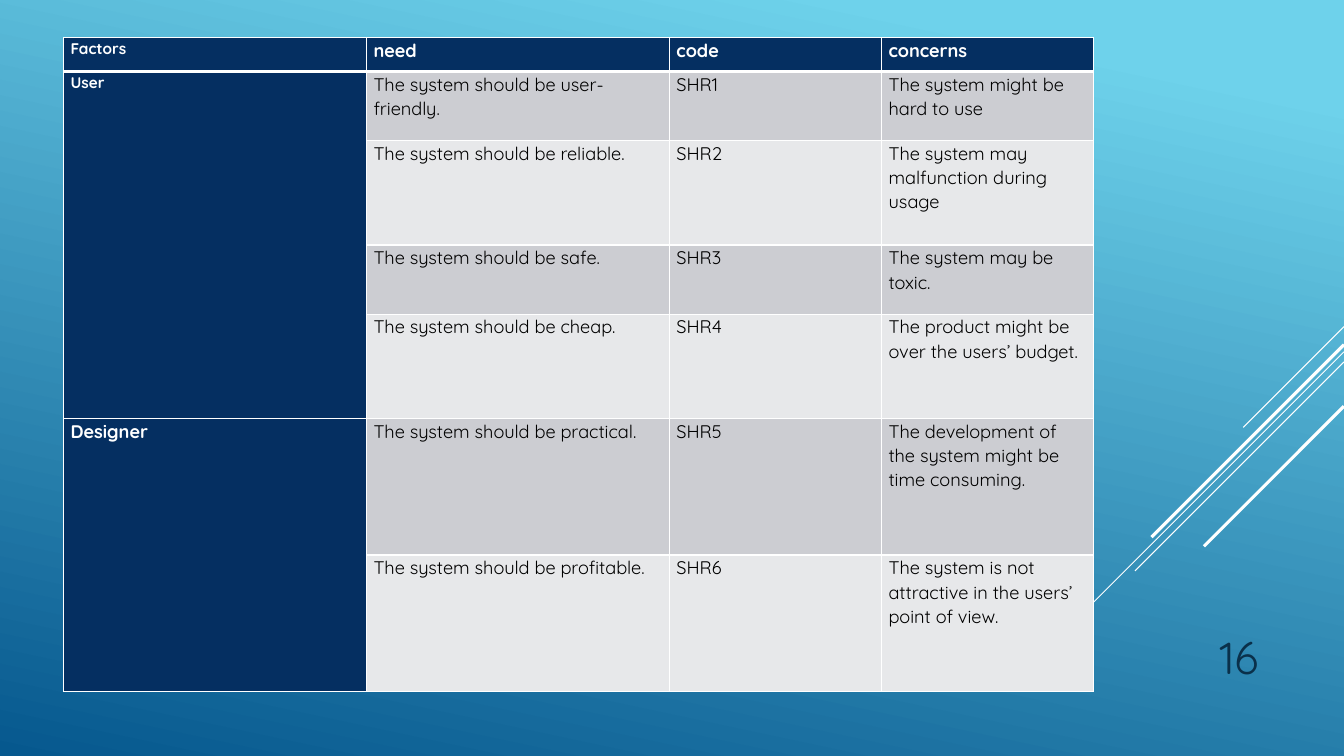
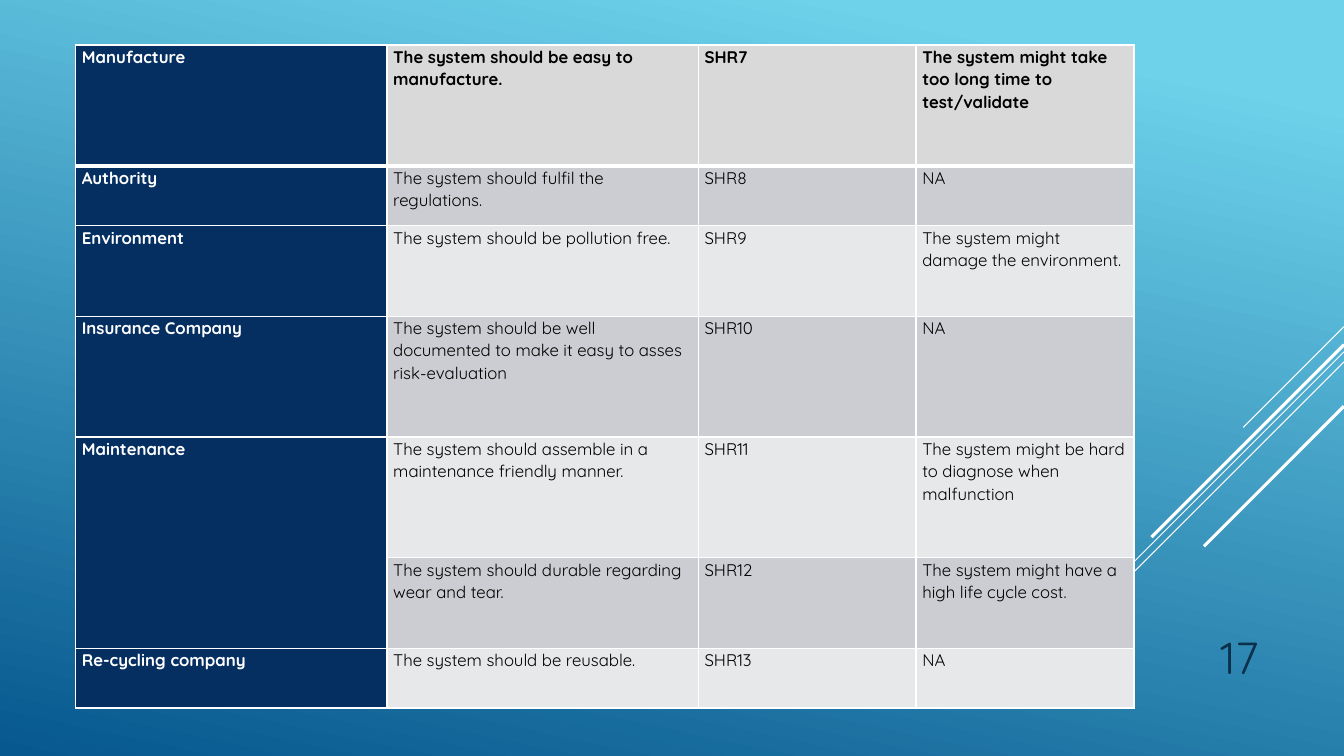
from dataclasses import dataclass
from itertools import product

from lxml.etree import SubElement
from pptx import Presentation
from pptx.dml.color import RGBColor
from pptx.enum.shapes import MSO_CONNECTOR
from pptx.enum.text import MSO_ANCHOR, PP_ALIGN
from pptx.oxml.ns import qn
from pptx.presentation import Presentation as Deck
from pptx.slide import Slide
from pptx.table import _Cell
from pptx.util import Pt

# Shared look
WIDTH, HEIGHT = 960, 540
FONT = "Quicksand"
WHITE, BLACK, NAVY = "FFFFFF", "000000", "052F61"
SKY, OCEAN, NUMBER_INK = "6ED2EB", "06588E", "0A304A"
BANDS = ("E7E8EA", "CCCDD2")
SMALL_SIZE = 11


@dataclass(frozen=True)
class Ray:
    """A 45-degree line that runs down and left from the right edge."""
    top: float
    reach: float
    weight: float


@dataclass(frozen=True)
class Matrix:
    """A needs table; an empty label extends the label above it."""
    number: int
    left: float
    top: float
    cols: tuple[float, ...]
    heights: tuple[float, ...]
    inset: float
    size: float
    head_fill: str
    head_ink: str
    rows: tuple[tuple[str, str, str, str], ...]
    small_labels: tuple[str, ...] = ()


RAYS = (
    Ray(233.3, 72, 0.75),
    Ray(251.3, 234.7, 0.75),
    Ray(258.5, 149.3, 0.75),
    Ray(246.2, 137.5, 2.25),
    Ray(290.2, 100, 2.25),
)

MATRICES = (
    Matrix(
        16, 45.4, 26.8, (216.4, 216.4, 151.5, 151.5),
        (24.3, 49.4, 74.6, 49.4, 74.6, 97.5, 97.5), 5, 13, NAVY, WHITE,
        (
            ("Factors", "need", "code", "concerns"),
            ("User", "The system should be user-friendly.", "SHR1",
             "The system might be hard to use"),
            ("", "The system should be reliable.", "SHR2",
             "The system may malfunction during usage"),
            ("", "The system should be safe.", "SHR3", "The system may be toxic."),
            ("", "The system should be cheap.", "SHR4",
             "The product might be over the users’ budget."),
            ("Designer", "The system should be practical.", "SHR5",
             "The development of the system might be time consuming."),
            ("", "The system should be profitable.", "SHR6",
             "The system is not attractive in the users’ point of view."),
        ),
        ("Factors", "User"),
    ),
    Matrix(
        17, 54, 32.2, (222.4, 222.4, 155.6, 155.6),
        (86.3, 42.8, 64.6, 86.3, 86.3, 64.6, 42.8), 4.5, 12, "D9D9D9", BLACK,
        (
            ("Manufacture", "The system should be easy to manufacture.", "SHR7",
             "The system might take too long time to test/validate"),
            ("Authority", "The system should fulfil the regulations.", "SHR8", "NA"),
            ("Environment", "The system should be pollution free.", "SHR9",
             "The system might damage the environment."),
            ("Insurance Company",
             "The system should be well documented to make it easy to asses risk-evaluation",
             "SHR10", "NA"),
            ("Maintenance", "The system should assemble in a maintenance friendly manner.",
             "SHR11", "The system might be hard to diagnose when malfunction"),
            ("", "The system should durable regarding wear and tear.", "SHR12",
             "The system might have a high life cycle cost."),
            ("Re-cycling company", "The system should be reusable.", "SHR13", "NA"),
        ),
    ),
)


def rgb(color: str) -> RGBColor:
    return RGBColor.from_string(color)


def style_run(r, size: float, color: str, bold: bool = False) -> None:
    r.font.name = FONT
    r.font.size = Pt(size)
    r.font.bold = bold
    r.font.color.rgb = rgb(color)


def set_background(prs: Deck) -> None:
    fill = prs.slide_master.background.fill
    fill.gradient()
    fill.gradient_angle = 258
    for stop, position, color in zip(fill.gradient_stops, (0.1, 1), (SKY, OCEAN)):
        stop.position = position
        stop.color.rgb = rgb(color)


def draw_ray(s: Slide, ray: Ray) -> None:
    line = s.shapes.add_connector(
        MSO_CONNECTOR.STRAIGHT, Pt(WIDTH), Pt(ray.top),
        Pt(WIDTH - ray.reach), Pt(ray.top + ray.reach))
    line.line.color.rgb = rgb(WHITE)
    line.line.width = Pt(ray.weight)
    SubElement(line._element.spPr, qn("a:effectLst"))


def set_borders(cell: _Cell, row: int) -> None:
    """White rules, with a heavy one below the first row."""
    widths = {"L": 1, "R": 1, "T": 3 if row == 1 else 1, "B": 3 if row == 0 else 1}
    tc_pr = cell._tc.get_or_add_tcPr()
    for side, width in widths.items():
        ln = SubElement(tc_pr, qn(f"a:ln{side}"), w=str(Pt(width)))
        SubElement(SubElement(ln, qn("a:solidFill")), qn("a:srgbClr"), val=WHITE)


def fill_cell(cell: _Cell, m: Matrix, row: int, col: int) -> None:
    is_label, is_head = col == 0, row == 0
    if is_label:
        fill, ink = NAVY, WHITE
    elif is_head:
        fill, ink = m.head_fill, m.head_ink
    else:
        fill, ink = BANDS[row % 2], BLACK

    cell.margin_left = cell.margin_right = Pt(m.inset)
    cell.margin_top = cell.margin_bottom = Pt(0)
    set_borders(cell, row)
    cell.fill.solid()
    cell.fill.fore_color.rgb = rgb(fill)

    text = m.rows[row][col]
    if text:
        p = cell.text_frame.paragraphs[0]
        p.text = text
        p.line_spacing = 1.07
        p.space_after = Pt(8)
        size = SMALL_SIZE if text in m.small_labels else m.size
        style_run(p.runs[0], size, ink, is_label or is_head)


def draw_matrix(s: Slide, m: Matrix) -> None:
    frame = s.shapes.add_table(
        len(m.rows), len(m.cols), Pt(m.left), Pt(m.top),
        Pt(sum(m.cols)), Pt(sum(m.heights)))
    table = frame.table
    table.first_row = table.horz_banding = False
    for column, width in zip(table.columns, m.cols):
        column.width = Pt(width)
    for row, height in zip(table.rows, m.heights):
        row.height = Pt(height)
    for row, col in product(range(len(m.rows)), range(len(m.cols))):
        fill_cell(table.cell(row, col), m, row, col)

    # Join each label with the empty cells below it
    starts = [i for i, cells in enumerate(m.rows) if cells[0]]
    for first, following in zip(starts, starts[1:] + [len(m.rows)]):
        if following - first > 1:
            table.cell(first, 0).merge(table.cell(following - 1, 0))


def draw_number(s: Slide, number: int) -> None:
    sp = s.shapes.add_textbox(Pt(816), Pt(439), Pt(90), Pt(52.5))
    tf = sp.text_frame
    tf.word_wrap = True
    tf.vertical_anchor = MSO_ANCHOR.BOTTOM
    tf.text = str(number)
    p = tf.paragraphs[0]
    p.alignment = PP_ALIGN.RIGHT
    style_run(p.runs[0], 32, NUMBER_INK)


def main() -> None:
    prs = Presentation()
    prs.slide_width, prs.slide_height = Pt(WIDTH), Pt(HEIGHT)
    set_background(prs)
    for m in MATRICES:
        s = prs.slides.add_slide(prs.slide_layouts[6])
        for ray in RAYS:
            draw_ray(s, ray)
        draw_matrix(s, m)
        draw_number(s, m.number)
    prs.save("out.pptx")


if __name__ == "__main__":
    main()
